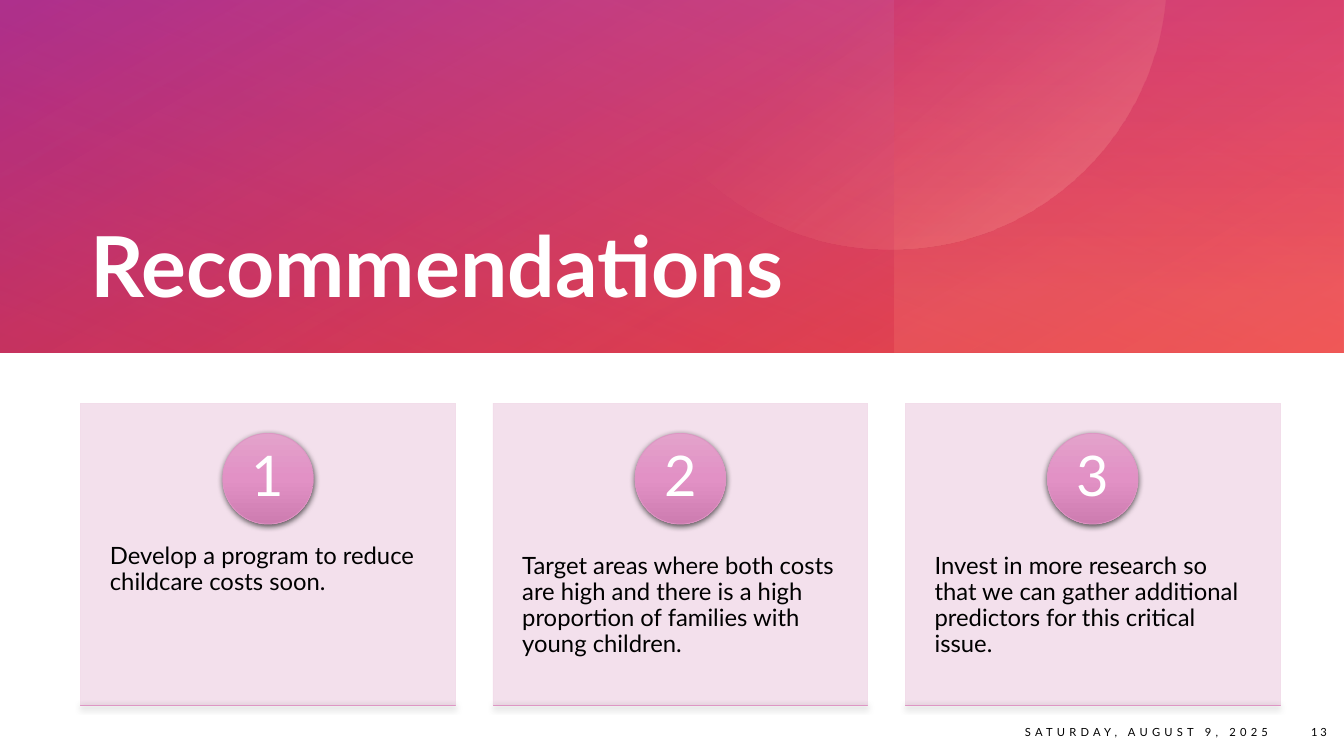
from dataclasses import dataclass
from math import asin, cos, pi, sin
from typing import NamedTuple

from lxml.etree import SubElement
from pptx import Presentation
from pptx.dml.color import RGBColor
from pptx.enum.shapes import MSO_SHAPE as Shape
from pptx.enum.text import MSO_ANCHOR as Anchor, PP_ALIGN as Align
from pptx.oxml.ns import qn
from pptx.util import Emu, Inches, Pt

COLORS = {
    "white": "FFFFFF", "black": "000000", "orchid": "D861D4", "red": "DA002F",
    "orange": "FE4A00", "plum": "92248E", "coral": "FF907A", "peach": "FFBCAF",
    "card": "F2DDEA", "pink_light": "E3A2CB", "pink": "E291C5",
    "pink_dark": "CD7CB0", "outline": "DE95C4",
}
FONT = "Lato"
WIDTH, HEIGHT = Inches(13.33), Inches(7.5)


class Box(NamedTuple):
    """Shares of the slide's width and height, in percent."""
    left: float
    top: float
    width: float
    height: float

    def emu(self) -> tuple[Emu, ...]:
        return tuple(Emu(round(share * side / 100))
                     for share, side in zip(self, (WIDTH, HEIGHT) * 2))


class Stop(NamedTuple):
    position: int
    color: str
    alpha: int = 100


@dataclass(frozen=True)
class Gradient:
    angle: float
    stops: tuple[Stop, ...]


@dataclass(frozen=True)
class Label:
    text: str
    box: Box
    size: int
    color: str = "black"
    bold: bool = False
    align: Align = Align.LEFT
    anchor: Anchor = Anchor.MIDDLE
    insets: tuple[float, float] = (0.1, 0.05)
    line_spacing: float = 1.0
    tracking: int = 0


BANNER = Box(0, 0, 100, 46.67)
BANNER_LAYERS = (
    (BANNER, Gradient(110, (Stop(8, "orchid"), Stop(100, "red", 78)))),
    (BANNER, Gradient(240, (Stop(0, "orange", 50), Stop(99, "plum", 62)))),
    (Box(66.57, 0, 33.43, 46.67),
     Gradient(90, (Stop(0, "red", 13), Stop(84, "coral", 20)))),
)
DISC_GRADIENT = Gradient(48.5, (Stop(31, "coral", 0), Stop(85, "peach", 23)))
BADGE_GRADIENT = Gradient(
    90, (Stop(0, "pink_light"), Stop(50, "pink"), Stop(100, "pink_dark")))

CARD_LEFT, CARD_PITCH, CARD_WIDTH = 6, 30.68, 27.9
CARD_TOP, CARD_HEIGHT = 53.33, 40
RECOMMENDATIONS = (
    "Develop a program to reduce childcare costs soon.",
    "Target areas where both costs are high and there is a high proportion "
    "of families with young children.",
    "Invest in more research so that we can gather additional predictors "
    "for this critical issue.",
)
LABELS = (
    Label("Recommendations", Box(6, 17.2, 78.77, 25.2), 60, "white", bold=True,
          anchor=Anchor.BOTTOM, line_spacing=0.9),
    Label("SATURDAY, AUGUST 9, 2025", Box(56.79, 94.13, 38.33, 5.33), 8,
          align=Align.RIGHT, tracking=300),
    Label("13", Box(94.97, 94.13, 4.5, 5.33), 8, align=Align.RIGHT, tracking=200),
)


def rgb(name: str) -> RGBColor:
    return RGBColor.from_string(COLORS[name])


def add_color(parent, name: str, alpha: int) -> None:
    color = SubElement(parent, qn("a:srgbClr"), val=COLORS[name])
    if alpha < 100:
        SubElement(color, qn("a:alpha"), val=str(alpha * 1000))


def fill_gradient(sp, gradient: Gradient) -> None:
    sp.fill.gradient()
    fill = sp._element.spPr.find(qn("a:gradFill"))
    for child in list(fill):
        fill.remove(child)
    stops = SubElement(fill, qn("a:gsLst"))
    for stop in gradient.stops:
        gs = SubElement(stops, qn("a:gs"), pos=str(stop.position * 1000))
        add_color(gs, stop.color, stop.alpha)
    SubElement(fill, qn("a:lin"), ang=str(round(gradient.angle * 60000)), scaled="0")


def add_shadow(sp) -> None:
    effects = sp._element.spPr.find(qn("a:effectLst"))
    shadow = SubElement(effects, qn("a:outerShdw"), blurRad=str(Pt(4.5)),
                        dist=str(Pt(1.5)), dir="5400000", algn="ctr", rotWithShape="0")
    add_color(shadow, "black", 63)


def add_block(slide, kind: Shape, box: Box, line: str | None = None):
    sp = slide.shapes.add_shape(kind, *box.emu())
    sp.shadow.inherit = False
    if line:
        sp.line.color.rgb = rgb(line)
        sp.line.width = Pt(0.5)
    else:
        sp.line.fill.background()
    return sp


def add_label(slide, label: Label) -> None:
    tf = slide.shapes.add_textbox(*label.box.emu()).text_frame
    tf.word_wrap = True
    tf.vertical_anchor = label.anchor
    tf.margin_left = tf.margin_right = Inches(label.insets[0])
    tf.margin_top = tf.margin_bottom = Inches(label.insets[1])
    p = tf.paragraphs[0]
    p.alignment = label.align
    p.line_spacing = label.line_spacing
    r = p.add_run()
    r.text = label.text
    r.font.name, r.font.size, r.font.bold = FONT, Pt(label.size), label.bold
    r.font.color.rgb = rgb(label.color)
    if label.tracking:
        r.font._element.set("spc", str(label.tracking))


def add_disc(slide) -> None:
    center_x, center_y, radius = 0.6624 * WIDTH, -0.0347 * HEIGHT, 0.2055 * WIDTH
    start, steps = asin(-center_y / radius), 120
    angles = [start + (pi - 2 * start) * i / steps for i in range(steps + 1)]
    points = [(round(center_x + radius * cos(a)), round(center_y + radius * sin(a)))
              for a in angles]
    builder = slide.shapes.build_freeform(*points[0])
    builder.add_line_segments(points[1:], close=True)
    sp = builder.convert_to_shape()
    sp.shadow.inherit = False
    sp.line.fill.background()
    fill_gradient(sp, DISC_GRADIENT)


def add_card(slide, index: int, text: str) -> None:
    left = CARD_LEFT + index * CARD_PITCH
    middle = left + CARD_WIDTH / 2
    card = add_block(slide, Shape.RECTANGLE,
                     Box(left, CARD_TOP, CARD_WIDTH, CARD_HEIGHT), "card")
    card.fill.solid()
    card.fill.fore_color.rgb = rgb("card")
    color = card._element.spPr.find(qn("a:solidFill")).find(qn("a:srgbClr"))
    SubElement(color, qn("a:alpha"), val="90000")
    add_label(slide, Label(text, Box(left, 68.53, CARD_WIDTH, 24), 17,
                           anchor=Anchor.TOP, insets=(0.29, 0.36), line_spacing=0.9))
    for kind, box in (
        (Shape.OVAL, Box(middle - 3.38, 57.33, 6.75, 12)),
        (Shape.RECTANGLE, Box(left, CARD_TOP + CARD_HEIGHT, CARD_WIDTH, 0)),
    ):
        accent = add_block(slide, kind, box, "outline")
        fill_gradient(accent, BADGE_GRADIENT)
        add_shadow(accent)
    add_label(slide, Label(str(index + 1), Box(middle - 2.4, 59.07, 4.8, 8.53), 40,
                           "white", align=Align.CENTER, insets=(0.07, 0.01),
                           line_spacing=0.9))


def main() -> None:
    prs = Presentation()
    prs.slide_width, prs.slide_height = WIDTH, HEIGHT
    slide = prs.slides.add_slide(prs.slide_layouts[6])
    for box, gradient in BANNER_LAYERS:
        fill_gradient(add_block(slide, Shape.RECTANGLE, box), gradient)
    add_disc(slide)
    for label in LABELS:
        add_label(slide, label)
    for index, text in enumerate(RECOMMENDATIONS):
        add_card(slide, index, text)
    prs.save("out.pptx")


if __name__ == "__main__":
    main()
